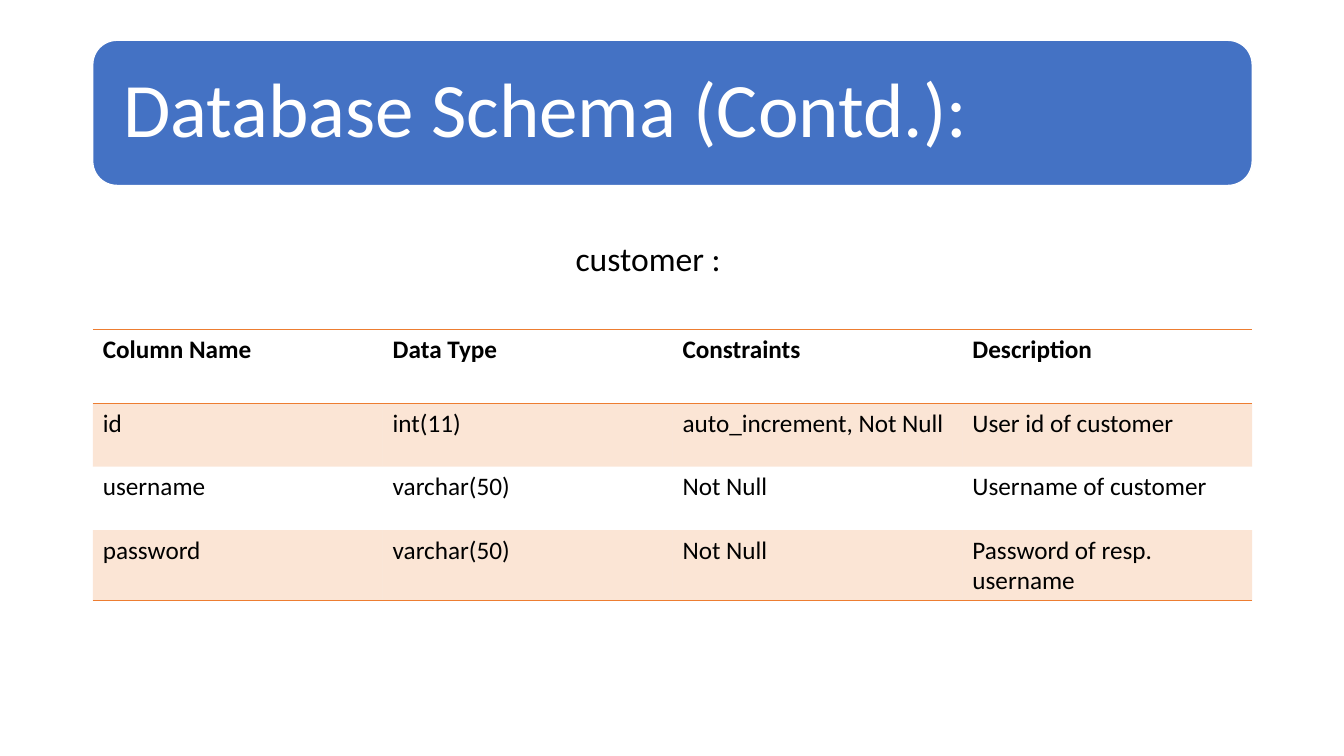
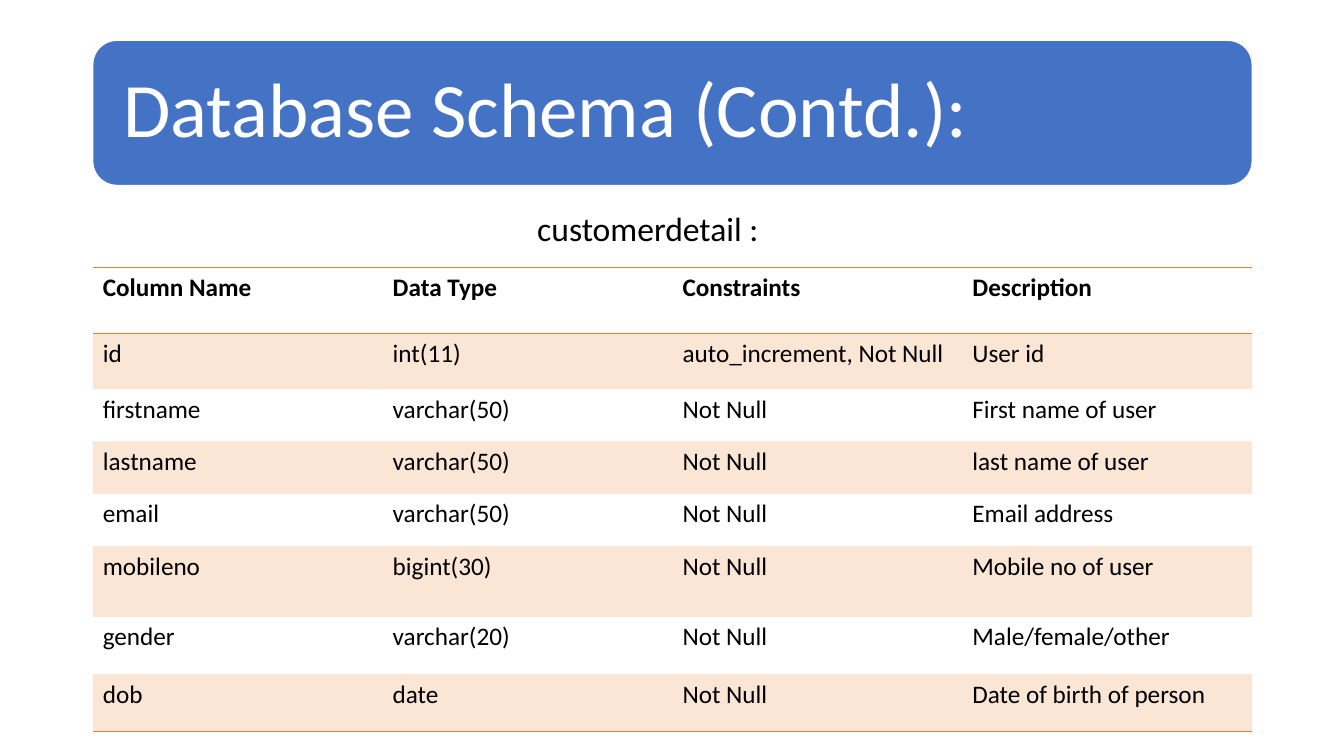
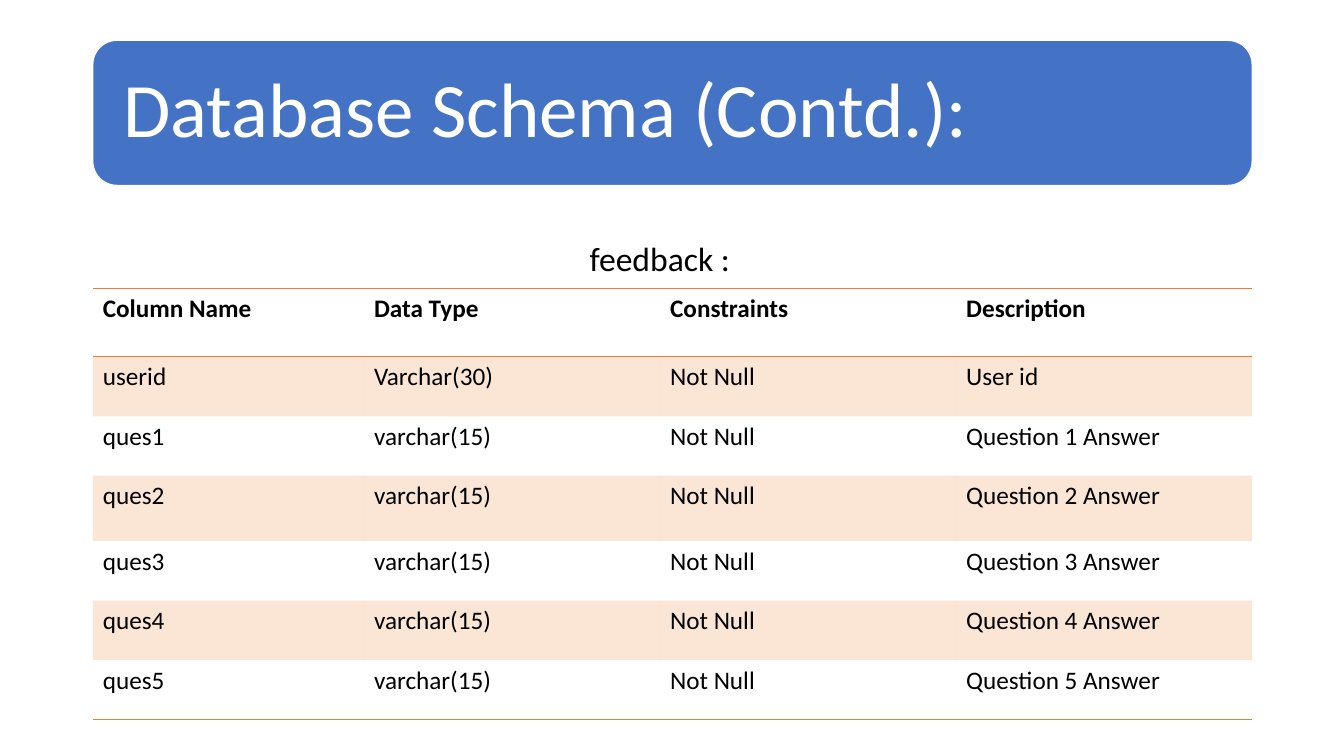
from lxml.etree import SubElement
from pptx import Presentation
from pptx.dml.color import RGBColor
from pptx.enum.shapes import MSO_SHAPE
from pptx.enum.text import MSO_ANCHOR, MSO_AUTO_SIZE, PP_ALIGN
from pptx.oxml import parse_xml
from pptx.oxml.ns import nsdecls, qn
from pptx.util import Inches, Pt

BLUE = RGBColor(0x44, 0x72, 0xC4)
ORANGE = RGBColor(0xED, 0x7D, 0x31)
WHITE = RGBColor(0xFF, 0xFF, 0xFF)
BLACK = RGBColor(0x00, 0x00, 0x00)
FONT = "Calibri"
BAND_OPACITY = 20
NO_GRID_STYLE = "{2D5ABB26-0587-4C30-8999-92F81FD0307C}"

LEFT, WIDTH = 0.92, 11.5
TITLE = "Database Schema (Contd.):"
HEADER = ("Column Name", "Data Type", "Constraints", "Description")
QUESTIONS = [
    (f"ques{number}", "varchar(15)", "Not Null", f"Question {number} Answer")
    for number in range(1, 6)
]

SCHEMAS = [
    {
        "caption": "customer :",
        "caption_box": (5.61, 2.31, 2.11, 0.5),
        "table_top": 3.27,
        "first_column": WIDTH / 4,
        "row_heights": (0.73, 0.63, 0.63, 0.63),
        "rows": [
            ("id", "int(11)", "auto_increment, Not Null", "User id of customer"),
            ("username", "varchar(50)", "Not Null", "Username of customer"),
            ("password", "varchar(50)", "Not Null", "Password of resp. username"),
        ],
    },
    {
        "caption": "customerdetail :",
        "caption_box": (5.23, 2.01, 2.88, 0.5),
        "table_top": 2.65,
        "first_column": WIDTH / 4,
        "row_heights": (0.66, 0.55, 0.52, 0.52, 0.52, 0.7, 0.57, 0.57),
        "rows": [
            ("id", "int(11)", "auto_increment, Not Null", "User id"),
            ("firstname", "varchar(50)", "Not Null", "First name of user"),
            ("lastname", "varchar(50)", "Not Null", "last name of user"),
            ("email", "varchar(50)", "Not Null", "Email address"),
            ("mobileno", "bigint(30)", "Not Null", "Mobile no of user"),
            ("gender", "varchar(20)", "Not Null", "Male/female/other"),
            ("dob", "date", "Not Null", "Date of birth of person"),
        ],
    },
    {
        "caption": "feedback :",
        "caption_box": (5.75, 2.31, 1.84, 0.5),
        "table_top": 2.86,
        "first_column": 2.69,
        "row_heights": (0.68, 0.59, 0.59, 0.65, 0.59, 0.59, 0.59),
        "rows": [("userid", "Varchar(30)", "Not Null", "User id"), *QUESTIONS],
    },
]


def format_text(text_frame, size, color, bold=False):
    for paragraph in text_frame.paragraphs:
        for run in paragraph.runs:
            run.font.name = FONT
            run.font.size = Pt(size)
            run.font.bold = bold
            run.font.color.rgb = color


def add_title(slide):
    banner = slide.shapes.add_shape(
        MSO_SHAPE.ROUNDED_RECTANGLE, Inches(LEFT), Inches(0.4), Inches(WIDTH), Inches(1.44)
    )
    banner.shadow.inherit = False
    banner.fill.solid()
    banner.fill.fore_color.rgb = BLUE
    banner.line.color.rgb = WHITE
    banner.line.width = Pt(1)

    title = slide.shapes.title
    banner._element.addnext(title._element)
    title.left, title.top = Inches(0.99), Inches(0.47)
    title.width, title.height = Inches(11.36), Inches(1.3)
    text_frame = title.text_frame
    text_frame.text = TITLE
    text_frame.word_wrap = True
    text_frame.auto_size = MSO_AUTO_SIZE.NONE
    text_frame.vertical_anchor = MSO_ANCHOR.MIDDLE
    text_frame.margin_left = text_frame.margin_right = Inches(0.23)
    text_frame.margin_top = text_frame.margin_bottom = Inches(0.23)
    text_frame.paragraphs[0].alignment = PP_ALIGN.LEFT
    text_frame.paragraphs[0].line_spacing = 0.9
    format_text(text_frame, 55, WHITE)


def add_caption(slide, text, box):
    caption = slide.shapes.add_textbox(*(Inches(length) for length in box))
    caption.text_frame.word_wrap = True
    caption.text_frame.text = text
    format_text(caption.text_frame, 24, BLACK)


def fill_cell(cell, banded):
    if not banded:
        cell.fill.background()
        return
    cell.fill.solid()
    cell.fill.fore_color.rgb = ORANGE
    color = cell._tc.tcPr.find(qn("a:solidFill"))[0]
    SubElement(color, qn("a:alpha"), val=str(BAND_OPACITY * 1000))


def add_borders(cell, sides):
    for position, side in enumerate(sides):
        border = parse_xml(
            f'<a:{side} {nsdecls("a")} w="{Pt(1)}"><a:solidFill>'
            f'<a:srgbClr val="{ORANGE}"/></a:solidFill></a:{side}>'
        )
        cell._tc.get_or_add_tcPr().insert(position, border)


def add_schema_table(slide, schema):
    rows = [HEADER, *schema["rows"]]
    heights = schema["row_heights"]
    table = slide.shapes.add_table(
        len(rows), len(HEADER), Inches(LEFT), Inches(schema["table_top"]),
        Inches(WIDTH), Inches(sum(heights)),
    ).table
    table._tbl.tblPr.find(qn("a:tableStyleId")).text = NO_GRID_STYLE

    first = schema["first_column"]
    other = (WIDTH - first) / (len(HEADER) - 1)
    for index, column in enumerate(table.columns):
        column.width = Inches(other if index else first)

    for row_index, values in enumerate(rows):
        table.rows[row_index].height = Inches(heights[row_index])
        is_header = row_index == 0
        is_last = row_index == len(rows) - 1
        sides = ("lnT", "lnB") if is_header else ("lnB",) if is_last else ()
        for column_index, value in enumerate(values):
            cell = table.cell(row_index, column_index)
            cell.text_frame.text = value
            format_text(cell.text_frame, 18, BLACK, bold=is_header)
            fill_cell(cell, banded=row_index % 2 == 1)
            add_borders(cell, sides)


def main():
    presentation = Presentation()
    presentation.slide_width = Inches(13.33)
    presentation.slide_height = Inches(7.5)
    for schema in SCHEMAS:
        slide = presentation.slides.add_slide(presentation.slide_layouts[5])
        add_title(slide)
        add_caption(slide, schema["caption"], schema["caption_box"])
        add_schema_table(slide, schema)
    presentation.save("out.pptx")


if __name__ == "__main__":
    main()
